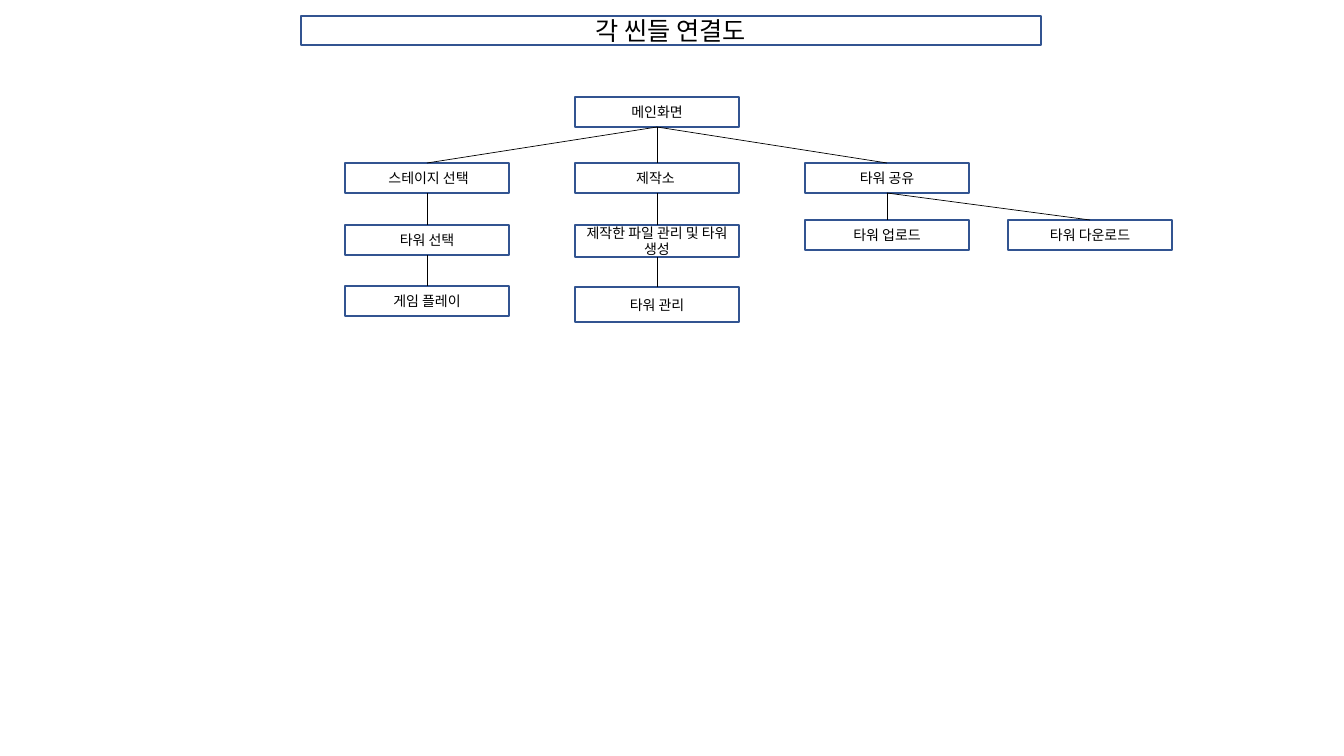
from lxml import etree
from pptx import Presentation, util as u
from pptx.dml import color
from pptx.enum import shapes, text
from pptx.oxml import ns

PX = 914400 / 100.8


def px(*nums):
    return [u.Emu(round(n * PX)) for n in nums]


def rgb(code):
    return color.RGBColor.from_string(code)


class Chart:
    """Draws framed boxes and links on one slide in one style."""
    font, ink, edge = "Noto Sans CJK KR", "000000", "325491"

    def __init__(self, slide):
        self.slide = slide

    def frame(self, shape, words, size):
        shape.fill.background()
        shape.line.color.rgb = rgb(self.edge)
        shape.line.width = u.Pt(1)
        body = shape.text_frame
        body.word_wrap = True
        body.auto_size = text.MSO_AUTO_SIZE.NONE
        body.vertical_anchor = text.MSO_ANCHOR.MIDDLE
        para = body.paragraphs[0]
        para.alignment = text.PP_ALIGN.CENTER
        run = para.add_run()
        run.text = words
        run.font.size = u.Pt(size)
        run.font.name = self.font
        run.font.color.rgb = rgb(self.ink)
        east = etree.SubElement(run.font._element, ns.qn("a:ea"))
        east.set("typeface", self.font)

    def title(self, words, x, y, w, h):
        shape = self.slide.shapes.title
        shape.left, shape.top, shape.width, shape.height = px(x, y, w, h)
        self.frame(shape, words, 18)

    def box(self, words, x, y, h=30, w=164):
        shape = self.slide.shapes.add_shape(
            shapes.MSO_SHAPE.RECTANGLE, *px(x, y, w, h))
        shape.shadow.inherit = False
        self.frame(shape, words, 10)
        return shape

    def link(self, top, low):
        line = self.slide.shapes.add_connector(
            shapes.MSO_CONNECTOR.STRAIGHT, 0, 0, 0, 0)
        line.begin_connect(top, 2)
        line.end_connect(low, 0)
        line.line.color.rgb = rgb(self.ink)
        line.line.width = u.Pt(0.5)
        etree.SubElement(line._element.spPr, ns.qn("a:effectLst"))


deck = Presentation()
deck.slide_width, deck.slide_height = px(1344, 756)
chart = Chart(deck.slides.add_slide(deck.slide_layouts[5]))
chart.title("각 씬들 연결도", 301, 16, 740, 29)

STAGE, MAKER, SHARE, LOAD = 345, 575, 805, 1008
scenes = {
    "main": (None, "메인화면", MAKER, 97),
    "stage": ("main", " 스테이지 선택", STAGE, 163),
    "maker": ("main", "제작소 ", MAKER, 163),
    "share": ("main", "타워 공유", SHARE, 163),
    "pick": ("stage", "타워 선택", STAGE, 225),
    "play": ("pick", "게임 플레이", STAGE, 286),
    "files": ("maker", "제작한 파일 관리 및 타워 생성", MAKER, 225, 32),
    "manage": ("files", "타워 관리", MAKER, 287, 35),
    "upload": ("share", "타워 업로드", SHARE, 220),
    "download": ("share", "타워 다운로드", LOAD, 220),
}
boxes = {}
for name, (parent, *spot) in scenes.items():
    boxes[name] = chart.box(*spot)
    if parent:
        chart.link(boxes[parent], boxes[name])

deck.save("out.pptx")
